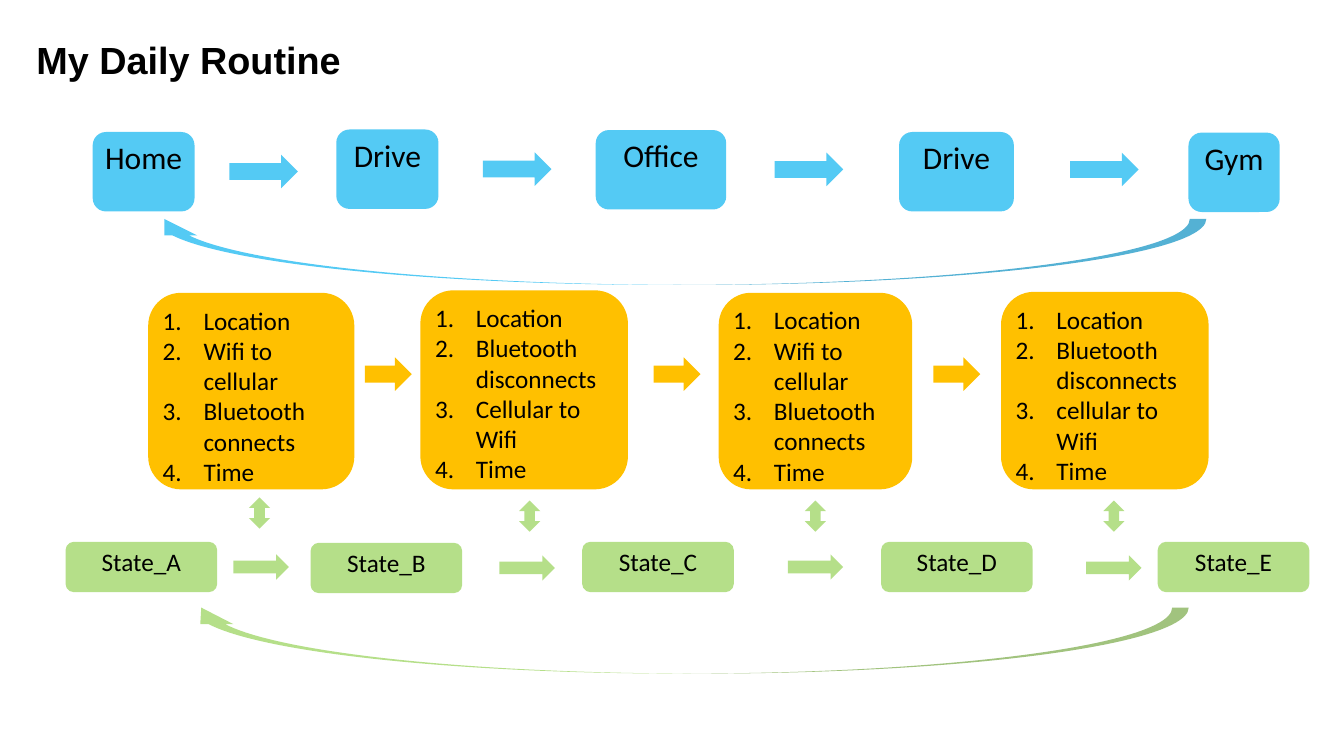
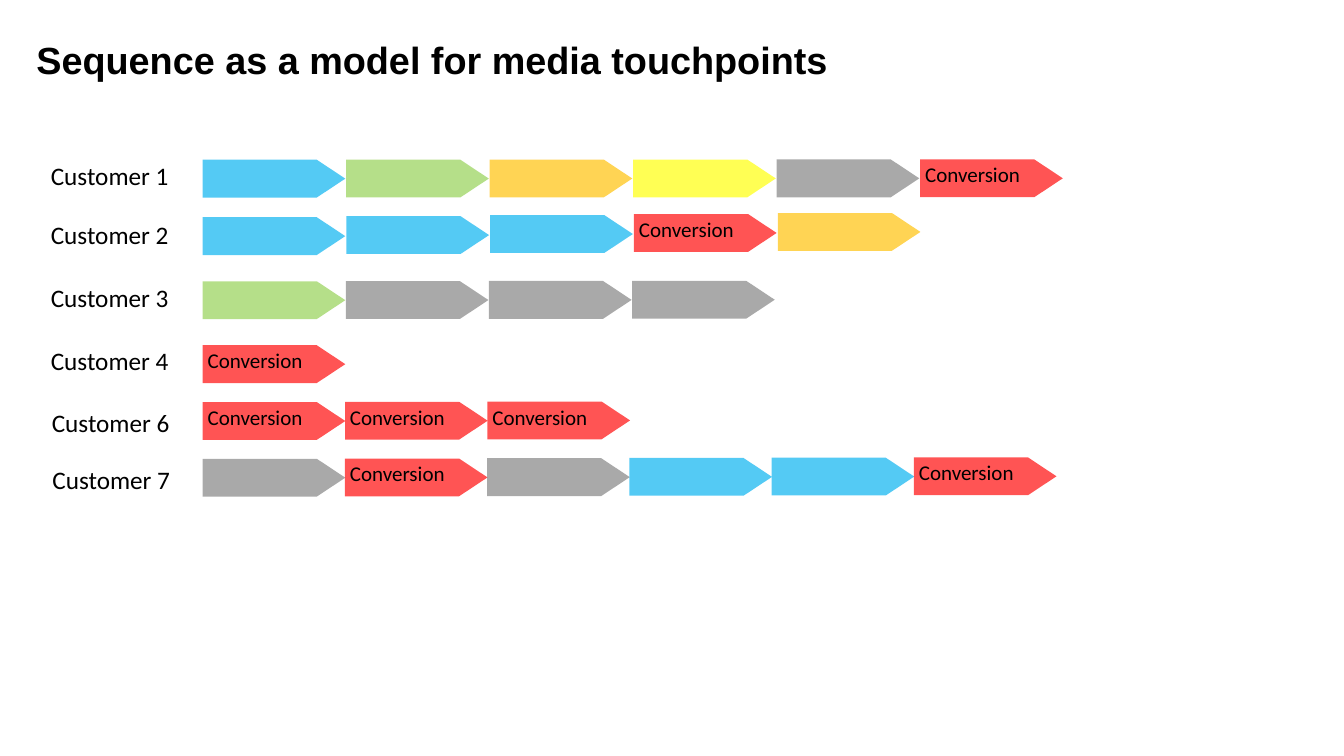
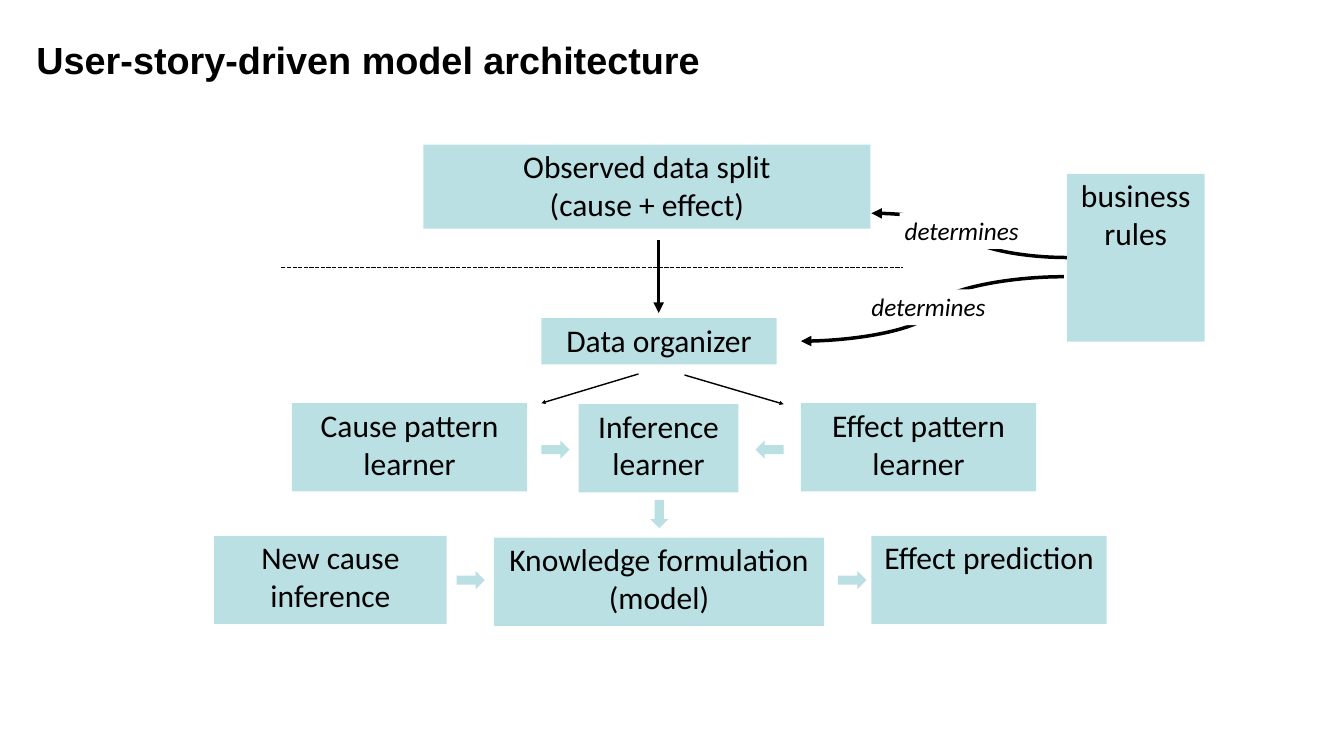
from dataclasses import dataclass
from itertools import count

from lxml import etree
from pptx import Presentation
from pptx.dml.color import RGBColor
from pptx.enum.dml import MSO_LINE
from pptx.enum.shapes import MSO_CONNECTOR, MSO_SHAPE
from pptx.enum.text import MSO_ANCHOR, PP_ALIGN
from pptx.oxml.ns import qn
from pptx.util import Pt


@dataclass(frozen=True)
class Paint:
    color: str
    alpha: int = 100


@dataclass(frozen=True)
class Theme:
    ink: str = "000000"
    sky: Paint = Paint("00B0F0", 67)
    lime: Paint = Paint("92D050", 67)
    amber: Paint = Paint("FFC000", 67)
    yellow: Paint = Paint("FFFF00", 67)
    gray: Paint = Paint("808080", 67)
    red: Paint = Paint("FF0000", 67)
    gold: Paint = Paint("FFC000")
    teal: Paint = Paint("BBE0E3")
    white: Paint = Paint("FFFFFF")
    title_font: str = "Arial"
    body_font: str = "Calibri"
    title_size: int = 54
    node_size: int = 45
    body_size: int = 36
    chip_size: int = 30
    thin: int = 2
    thick: int = 5


THEME = Theme()


@dataclass(frozen=True)
class Box:
    x: float
    y: float
    w: float
    h: float

    def inner(self, dx, dy, w, h):
        return Box(self.x + dx, self.y + dy, w, h)

    def turned(self):
        """Frame that covers this box after a quarter turn."""
        return Box(self.x + (self.w - self.h) / 2, self.y + (self.h - self.w) / 2, self.h, self.w)

    def lengths(self):
        return Pt(self.x), Pt(self.y), Pt(self.w), Pt(self.h)


TITLE_BOX = Box(49, 18.7, 1821.6, 131)


# Shared drawing helpers
def add_block(slide, kind, box, paint, turn=0):
    frame = box.turned() if turn % 180 else box
    block = slide.shapes.add_shape(kind, *frame.lengths())
    block.rotation = turn
    block.shadow.inherit = False
    block.line.fill.background()
    block.fill.solid()
    block.fill.fore_color.rgb = RGBColor.from_string(paint.color)
    if paint.alpha < 100:
        color = block.element.spPr.find(qn("a:solidFill"))[0]
        etree.SubElement(color, qn("a:alpha")).set("val", str(paint.alpha * 1000))
    return block


def style(paragraph, size, font=THEME.body_font, bold=False, italic=False):
    paragraph.font.name = font
    paragraph.font.size = Pt(size)
    paragraph.font.bold = bold
    paragraph.font.italic = italic
    paragraph.font.color.rgb = RGBColor.from_string(THEME.ink)


def write(shape, lines, size, align=PP_ALIGN.CENTER, numbered=False, **look):
    frame = shape.text_frame
    frame.word_wrap = True
    frame.vertical_anchor = MSO_ANCHOR.TOP
    for number, line in enumerate(lines):
        paragraph = frame.add_paragraph() if number else frame.paragraphs[0]
        paragraph.text = line
        paragraph.alignment = align
        if numbered:
            properties = paragraph._p.get_or_add_pPr()
            properties.set("marL", str(Pt(58.3)))
            properties.set("indent", str(-Pt(58.3)))
            etree.SubElement(properties, qn("a:buAutoNum")).set("type", "arabicPeriod")
        style(paragraph, size, **look)


def add_line(slide, box, start, end, width, kind=MSO_CONNECTOR.STRAIGHT, arrow=True):
    (x1, y1), (x2, y2) = start, end
    line = slide.shapes.add_connector(
        kind, Pt(box.x + x1), Pt(box.y + y1), Pt(box.x + x2), Pt(box.y + y2))
    line.line.color.rgb = RGBColor.from_string(THEME.ink)
    line.line.width = Pt(width)
    if arrow:
        etree.SubElement(line.line._get_or_add_ln(), qn("a:tailEnd")).set("type", "triangle")
    etree.SubElement(line.element.spPr, qn("a:effectLst"))
    return line


def add_title(slide, box, text):
    title = slide.shapes.add_textbox(*box.lengths())
    write(title, [text], THEME.title_size, PP_ALIGN.LEFT, font=THEME.title_font, bold=True)
    frame = title.text_frame
    frame.vertical_anchor = MSO_ANCHOR.MIDDLE
    frame.margin_left = frame.margin_right = frame.margin_top = frame.margin_bottom = Pt(3)


def new_slide(deck, title):
    slide = deck.slides.add_slide(deck.slide_layouts[6])
    add_title(slide, TITLE_BOX, title)
    return slide


# Slide 1: daily routine
def draw_flow(slide, box, stations, arrows, arrow_size, paint, size):
    """Rounded stations (name, dx, dy, width) with arrows (dx, dy) between them."""
    for name, dx, dy, width in stations:
        station = add_block(slide, MSO_SHAPE.ROUNDED_RECTANGLE,
                            box.inner(dx, dy, width, box.h), paint)
        write(station, [name], size)
    draw_arrows(slide, box, arrows, arrow_size, paint)


def draw_arrows(slide, box, arrows, arrow_size, paint, kind=MSO_SHAPE.RIGHT_ARROW):
    for dx, dy in arrows:
        add_block(slide, kind, box.inner(dx, dy, *arrow_size), paint)


def draw_signals(slide, box):
    """Cards of signals, all standing on the bottom of the box."""
    leaving = ["Location", "Wifi to cellular", "Bluetooth connects", "Time"]
    arriving = ["Location", "Bluetooth disconnects", "Cellular to Wifi", "Time"]
    arriving_gym = arriving[:2] + ["cellular to Wifi", "Time"]
    cards = [(leaving, 0, 3.6, 294.5), (arriving, 388.8, 0, 296.6),
             (leaving, 815, 3.6, 276.5), (arriving_gym, 1218.3, 2.2, 296.6)]
    for signals, dx, dy, width in cards:
        card = add_block(slide, MSO_SHAPE.ROUNDED_RECTANGLE,
                         box.inner(dx, dy, width, box.h - dy), THEME.gold)
        write(card, signals, THEME.body_size, PP_ALIGN.LEFT, numbered=True)
    draw_arrows(slide, box, [(dx, 95.8) for dx in (309.6, 722.1, 1121.7)], (67, 48), THEME.gold)


def draw_return(slide, box, paint):
    add_block(slide, MSO_SHAPE.CURVED_LEFT_ARROW, box, paint, turn=90)


def build_routine(deck):
    slide = new_slide(deck, "My Daily Routine")
    # Places
    draw_flow(slide, Box(132.4, 185, 1696, 113.5),
              [("Home", 0, 3.6, 145.5), ("Drive", 348, 0, 146), ("Office", 718.6, 0.8, 186.5),
               ("Drive", 1152, 3.6, 164), ("Gym", 1565.4, 4.4, 130.3)],
              [(195.2, 36), (557.4, 32.6), (974.2, 33), (1396.2, 33)],
              (98, 48), THEME.sky, THEME.node_size)
    # Signals
    draw_signals(slide, Box(211.7, 414.7, 1515, 284.4))
    # Ways back to the start
    draw_return(slide, Box(211.3, 312.8, 1512, 94.3), THEME.sky)
    draw_return(slide, Box(263.9, 868, 1434.2, 94.3), THEME.lime)
    # States, each tied to the signals above
    states = Box(93.6, 774, 1777, 72)
    offsets = [(0, 0), (350, 1.4), (738, 0), (1165, 0), (1560.2, 0)]
    draw_flow(slide, states,
              [(f"State_{letter}", dx, dy, 216.7) for letter, (dx, dy) in zip("ABCDE", offsets)],
              [(239.8, 18), (619.9, 19.4), (1031.8, 18), (1458, 19.4)],
              (79.2, 36), THEME.lime, THEME.body_size)
    draw_arrows(slide, states, [(262, -63.4), (648, -59), (1056.2, -59), (1482.5, -59)],
                (30.2, 44.6), THEME.lime, MSO_SHAPE.UP_DOWN_ARROW)


# Slide 2: media touchpoints
def draw_journey(slide, box, customer, touchpoints, pitch, drift, label_dx, label_dy):
    """One customer's label and chain of touchpoints, each drifting slightly upwards."""
    label = slide.shapes.add_textbox(*box.inner(label_dx, label_dy, 221.8, 51.1).lengths())
    write(label, [customer], THEME.body_size, PP_ALIGN.LEFT)
    for position, paint in zip(count(), touchpoints):
        chip = add_block(slide, MSO_SHAPE.FLOWCHART_OFFPAGE_CONNECTOR,
                         box.inner(224 + position * pitch, -position * drift, 203.8, box.h),
                         paint, turn=270)
        if paint == THEME.red:
            write(chip, ["Conversion"], THEME.chip_size)
            chip.element.txBody.bodyPr.set("vert", "eaVert")


def build_touchpoints(deck):
    slide = new_slide(deck, "Sequence as a model for media touchpoints")
    sky, lime, amber, yellow, gray, red = (
        THEME.sky, THEME.lime, THEME.amber, THEME.yellow, THEME.gray, THEME.red)
    journeys = [
        # number, top, touchpoints, pitch, drift, label dx, label dy
        (1, 228.2, [sky, lime, amber, yellow, gray, red], 205, 0.1, 0, -2.8),
        (2, 310.3, [sky, sky, sky, red, amber], 205.4, 1.5, 0, -0.7),
        (3, 401.8, [lime, gray, gray, gray], 204.5, 0.2, 0, -1.5),
        (4, 493.2, [red], 204.5, 0, 0, -2.9),
        (6, 574.4, [red, red, red], 203.4, 0.4, 1.4, 3.8),
        (7, 655.4, [gray, red, gray, sky, sky, red], 203.2, 0.4, 2.2, 4.9),
    ]
    for number, top, *journey in journeys:
        draw_journey(slide, Box(65.5, top, 1470, 54), f"Customer {number}", *journey)


# Slide 3: model architecture
def draw_architecture(slide, box):
    # Boxes of the model
    nodes = [
        (["Observed data split", "(cause + effect)"], 298.8, 0, 638.6, 120.2),
        (["business rules"], 1218.2, 41.8, 196.6, 239.8),
        (["Data organizer"], 467.3, 247.7, 336.2, 66.2),
        (["Cause pattern learner"], 110.9, 369.4, 336.2, 126),
        (["Inference learner"], 520.6, 370.8, 228.2, 126),
        (["Effect pattern learner"], 838.1, 369.4, 336.2, 126),
        (["New cause inference"], 0, 558.8, 331.9, 126),
        (["Knowledge formulation (model)"], 399.6, 561.6, 471.6, 126),
        (["Effect prediction"], 938.9, 558.8, 336.2, 126),
    ]
    for lines, *place in nodes:
        node = add_block(slide, MSO_SHAPE.RECTANGLE, box.inner(*place), THEME.teal)
        write(node, lines, THEME.node_size)

    # Block arrows, by the upright frame they turn in
    for dx, dy, turn in [(467.3, 422.7, 0), (773.3, 422.7, 180), (346.3, 609.2, 0),
                         (891.4, 609.2, 0)]:
        add_block(slide, MSO_SHAPE.RIGHT_ARROW, box.inner(dx, dy, 40.3, 25.9), THEME.teal, turn)
    add_block(slide, MSO_SHAPE.RIGHT_ARROW, box.inner(622.8, 507.6, 25.9, 40.3), THEME.teal, 90)

    # Divider and flow of the data
    divider = add_line(slide, box, (95.8, 175.7), (984.2, 175.7), THEME.thin, arrow=False)
    divider.line.dash_style = MSO_LINE.SQUARE_DOT
    add_line(slide, box, (635, 136.8), (635, 240.5), THEME.thick)
    add_line(slide, box, (606.2, 327.6), (467.3, 369.4), THEME.thin)
    add_line(slide, box, (671.8, 329.1), (813.6, 370.8), THEME.thin)

    # What the business rules determine
    for start, end, label_at in [((1218.2, 161.3), (938.9, 98), (979.2, 98)),
                                 ((1213.9, 188.7), (838.1, 280.8), (931.7, 206.7))]:
        add_line(slide, box, start, end, THEME.thick, MSO_CONNECTOR.CURVE)
        label = add_block(slide, MSO_SHAPE.RECTANGLE, box.inner(*label_at, 234.7, 51.1),
                          THEME.white)
        write(label, ["determines"], THEME.body_size, PP_ALIGN.LEFT, italic=True)


def build_architecture(deck):
    slide = new_slide(deck, "User-story-driven model architecture")
    draw_architecture(slide, Box(306, 206.6, 1415, 688))


def main():
    deck = Presentation()
    deck.slide_width, deck.slide_height = Pt(1920), Pt(1080)
    build_routine(deck)
    build_touchpoints(deck)
    build_architecture(deck)
    deck.save("out.pptx")


if __name__ == "__main__":
    main()
